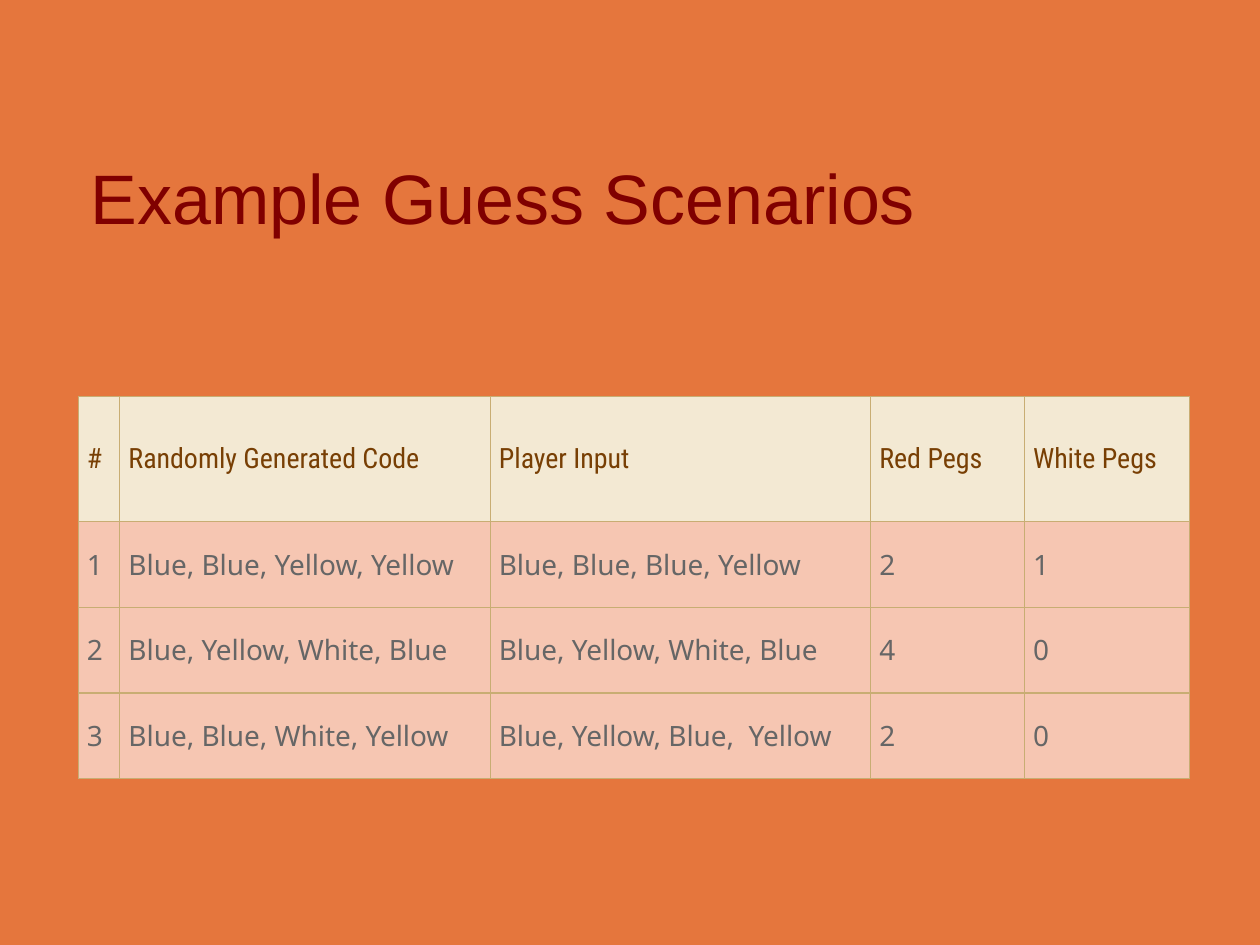
from lxml.etree import SubElement
from pptx import Presentation
from pptx.dml.color import RGBColor
from pptx.enum.text import MSO_ANCHOR, PP_ALIGN
from pptx.oxml.ns import qn
from pptx.util import Inches, Pt

COLORS = {
    "background": "E5763D",
    "title": "800000",
    "header_fill": "F3E9D3",
    "header_text": "783F04",
    "body_fill": "F6C6B2",
    "body_text": "666666",
    "border": "C8AD73",
}
COLUMN_WIDTHS = [0.33, 2.94, 3.02, 1.22, 1.31]
ROW_HEIGHTS = [0.99, 0.68, 0.68, 0.68]
SCENARIOS = [
    ["#", "Randomly Generated Code", "Player Input", "Red Pegs", "White Pegs"],
    ["1", "Blue, Blue, Yellow, Yellow", "Blue, Blue, Blue, Yellow", "2", "1"],
    ["2", "Blue, Yellow, White, Blue", "Blue, Yellow, White, Blue", "4", "0"],
    ["3", "Blue, Blue, White, Yellow", "Blue, Yellow, Blue,  Yellow", "2", "0"],
]


def color(name):
    return RGBColor.from_string(COLORS[name])


def format_text(frame, size, font_name, color_name):
    para = frame.paragraphs[0]
    para.alignment = PP_ALIGN.LEFT
    font = para.runs[0].font
    font.size = Pt(size)
    font.name = font_name
    font.bold = False
    font.color.rgb = color(color_name)


def add_title(slide, text):
    title = slide.shapes.title
    title.left, title.top = Inches(0.62), Inches(1.18)
    title.width, title.height = Inches(9.1), Inches(1.5)
    frame = title.text_frame
    frame.text = text
    frame.vertical_anchor = MSO_ANCHOR.TOP
    format_text(frame, 40, "Arial", "title")


def add_borders(cell):
    properties = cell._tc.get_or_add_tcPr()
    for side in ("lnL", "lnR", "lnT", "lnB"):
        line = SubElement(properties, qn(f"a:{side}"), w=str(Pt(0.75)))
        fill = SubElement(line, qn("a:solidFill"))
        SubElement(fill, qn("a:srgbClr"), val=COLORS["border"])


def format_cell(cell, text, kind, font_name):
    cell.text_frame.text = text
    cell.vertical_anchor = MSO_ANCHOR.MIDDLE
    cell.margin_left = cell.margin_right = Inches(0.07)
    cell.margin_top = cell.margin_bottom = Inches(0.07)
    add_borders(cell)
    cell.fill.solid()
    cell.fill.fore_color.rgb = color(f"{kind}_fill")
    format_text(cell.text_frame, 16, font_name, f"{kind}_text")


def add_scenario_table(slide):
    frame = slide.shapes.add_table(
        len(ROW_HEIGHTS), len(COLUMN_WIDTHS), Inches(0.62), Inches(3.15),
        Inches(sum(COLUMN_WIDTHS)), Inches(sum(ROW_HEIGHTS)))
    table = frame.table
    for column, width in zip(table.columns, COLUMN_WIDTHS):
        column.width = Inches(width)
    for row, height in zip(table.rows, ROW_HEIGHTS):
        row.height = Inches(height)
    for row_index, texts in enumerate(SCENARIOS):
        kind, font_name = ("body", "Noto Sans") if row_index else ("header", "Roboto Condensed")
        for column_index, text in enumerate(texts):
            format_cell(table.cell(row_index, column_index), text, kind, font_name)


def main():
    deck = Presentation()
    deck.slide_width, deck.slide_height = Inches(10), Inches(7.5)
    slide = deck.slides.add_slide(deck.slide_layouts[5])
    slide.background.fill.solid()
    slide.background.fill.fore_color.rgb = color("background")
    add_title(slide, "Example Guess Scenarios")
    add_scenario_table(slide)
    deck.save("out.pptx")


if __name__ == "__main__":
    main()
